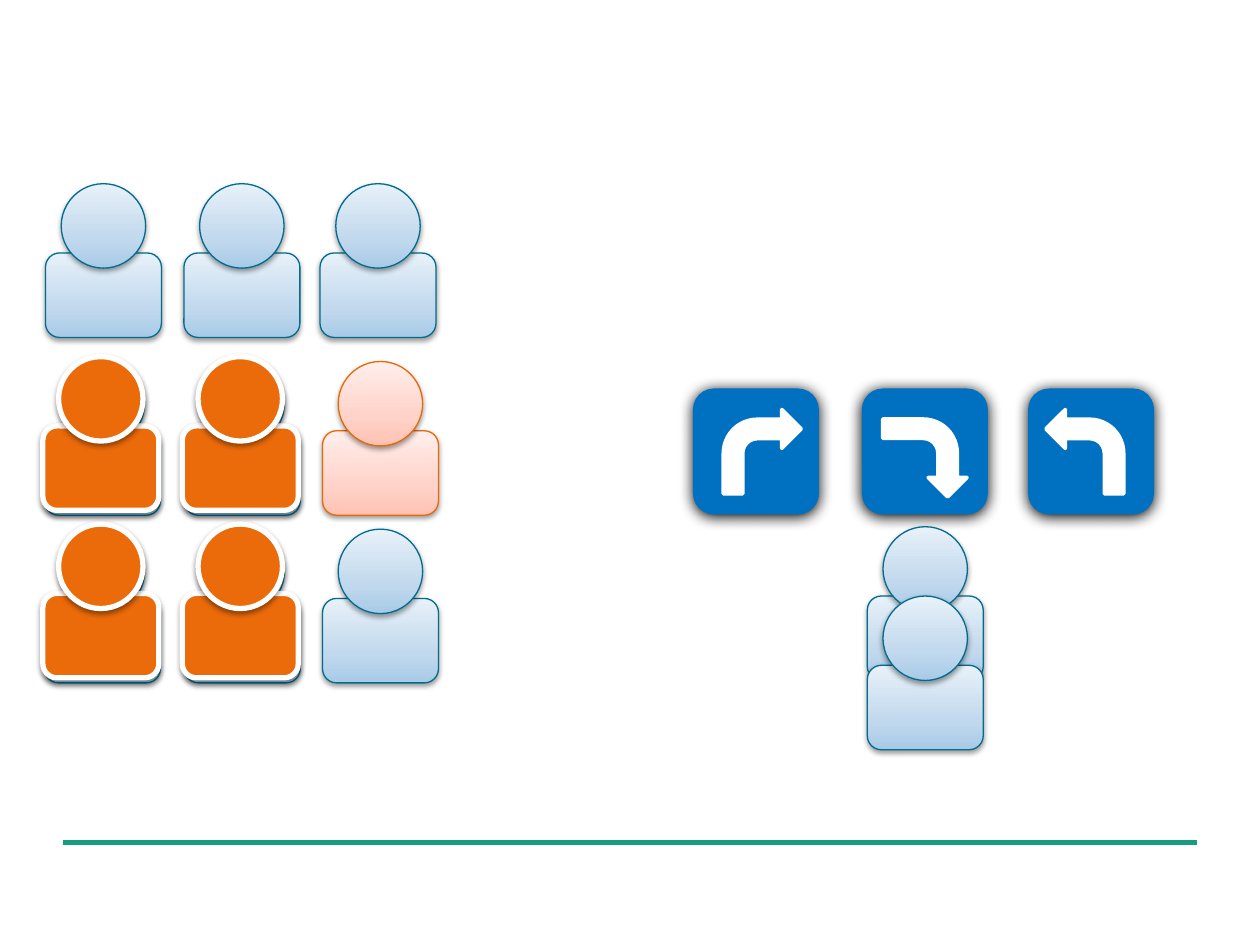
from copy import deepcopy
from itertools import product
from lxml.etree import SubElement
from pptx import Presentation
from pptx.dml.color import RGBColor
from pptx.enum.shapes import MSO_CONNECTOR, MSO_SHAPE
from pptx.oxml.ns import qn
from pptx.util import Pt

WHITE = RGBColor(0xFF, 0xFF, 0xFF)
GREEN = RGBColor(0x17, 0x9C, 0x7D)
SIGN_BLUE = RGBColor(0x00, 0x70, 0xC0)
BLUE_LINE = RGBColor(0x00, 0x6C, 0x8F)
PINK_LINE = RGBColor(0xEB, 0x67, 0x04)
ORANGE = RGBColor(0xEB, 0x6A, 0x0A)
BLUE_STOPS = [RGBColor(0xA7, 0xCA, 0xE7), RGBColor(0xC2, 0xD9, 0xED), RGBColor(0xE7, 0xF1, 0xF9)]
PINK_STOPS = [RGBColor(0xFF, 0xC1, 0xB3), RGBColor(0xFF, 0xD3, 0xC9), RGBColor(0xFF, 0xEE, 0xEB)]

BLUE = (BLUE_STOPS, BLUE_LINE, 0.75)
PINK = (PINK_STOPS, PINK_LINE, 0.75)
SELECTED = ([ORANGE], WHITE, 3)


def add_part(group, kind, left, top, width, height, colors, line, weight, shadow):
    shape = group.shapes.add_shape(kind, Pt(left), Pt(top), Pt(width), Pt(height))
    if len(colors) == 1:
        shape.fill.solid()
        shape.fill.fore_color.rgb = colors[0]
    else:
        shape.fill.gradient()
        shape.fill.gradient_angle = 90
        stop_list = shape._element.spPr.find(".//" + qn("a:gsLst"))
        stop_list.insert(1, deepcopy(stop_list[0]))
        for stop, color, position in zip(shape.fill.gradient_stops, colors, (0, 0.35, 1)):
            stop.color.rgb = color
            stop.position = position
    if line is None:
        shape.line.fill.background()
    else:
        shape.line.color.rgb = line
        shape.line.width = Pt(weight)
    shape.shadow.inherit = False
    if shadow:
        blur, distance, opacity = shadow
        effects = shape._element.spPr.find(qn("a:effectLst"))
        outer = SubElement(effects, qn("a:outerShdw"), blurRad=str(Pt(blur)),
                           dist=str(Pt(distance)), dir="5400000", rotWithShape="0")
        black = SubElement(outer, qn("a:srgbClr"), val="000000")
        SubElement(black, qn("a:alpha"), val=str(opacity * 1000))
    return shape


def add_person(page, left, top, look):
    group = page.shapes.add_group_shape()
    shadow = (3.1, 1.6, 38)
    add_part(group, MSO_SHAPE.ROUNDED_RECTANGLE, left, top + 39.6, 66.24, 48.24, *look, shadow)
    add_part(group, MSO_SHAPE.OVAL, left + 9, top, 48.24, 48.24, *look, shadow)


deck = Presentation()
deck.slide_width = Pt(720)
deck.slide_height = Pt(540)
page = deck.slides.add_slide(deck.slide_layouts[6])

footer_line = page.shapes.add_connector(MSO_CONNECTOR.STRAIGHT, Pt(36), Pt(481.5), Pt(684), Pt(481.5))
footer_line.line.color.rgb = GREEN
footer_line.line.width = Pt(2.5)
SubElement(footer_line._element.spPr, qn("a:effectLst"))

signs = [
    (396, 413.3, 234, 0, False),
    (492.5, 506.2, 237.6, 90, False),
    (587.5, 597.6, 234, 0, True),
]
for sign_left, arrow_left, arrow_top, rotation, flipped in signs:
    group = page.shapes.add_group_shape()
    plate = add_part(group, MSO_SHAPE.ROUNDED_RECTANGLE, sign_left, 222, 72, 72,
                     [SIGN_BLUE], None, 0, (8.5, 1, 100))
    arrow = add_part(group, MSO_SHAPE.BENT_ARROW, arrow_left, arrow_top, 44.6, 48.2,
                     [WHITE], WHITE, 2, None)
    for shape in (plate, arrow):
        shape.rotation = rotation
        if flipped:
            shape._element.spPr.xfrm.set("flipH", "1")

for top in (301, 340.6):
    add_person(page, 495.6, top, BLUE)

for left, top in product((26, 105.1, 182.9), (105,)):
    add_person(page, left, top, BLUE)
for left, top in product((25.4, 105.3), (206.6, 302.4)):
    add_person(page, left, top, BLUE)
add_person(page, 184.3, 206.6, PINK)
add_person(page, 184.3, 302.4, BLUE)

for top, left in product((203.8, 299.5), (104.2, 24.5)):
    add_person(page, left, top, SELECTED)

deck.save("out.pptx")
